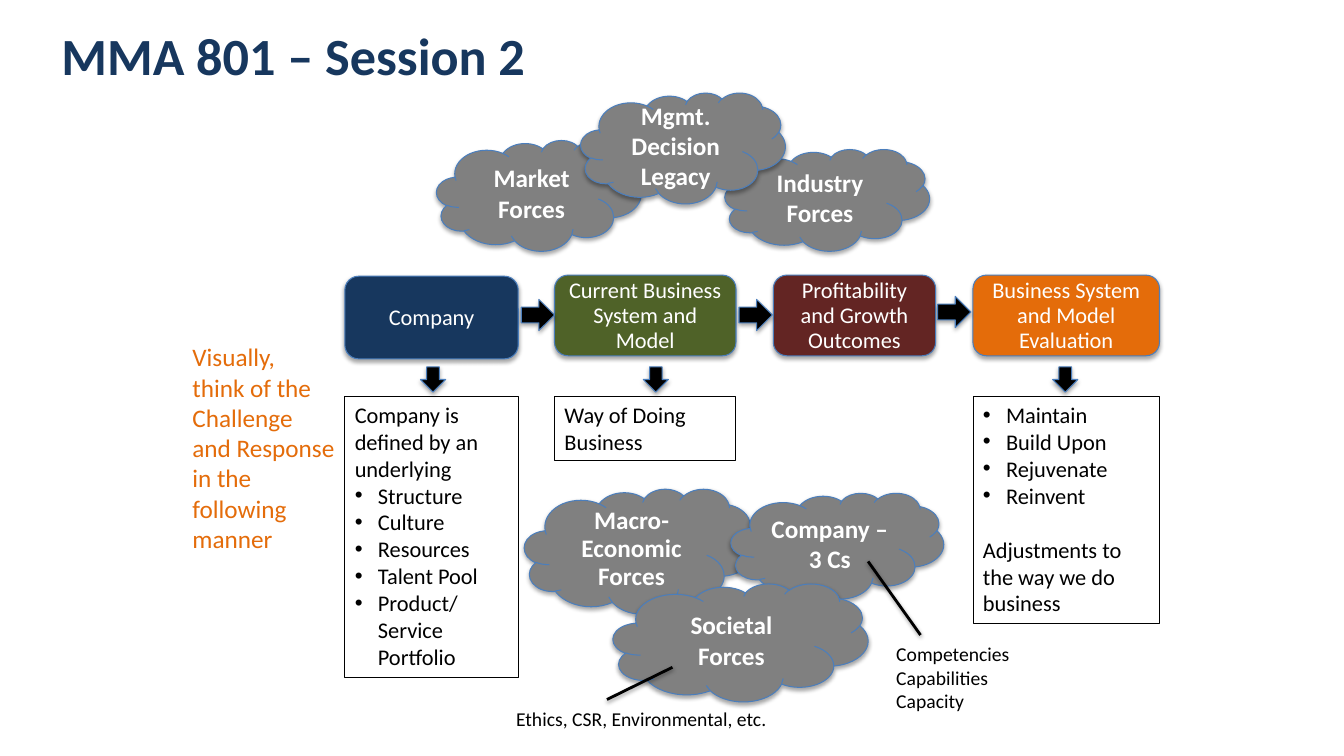
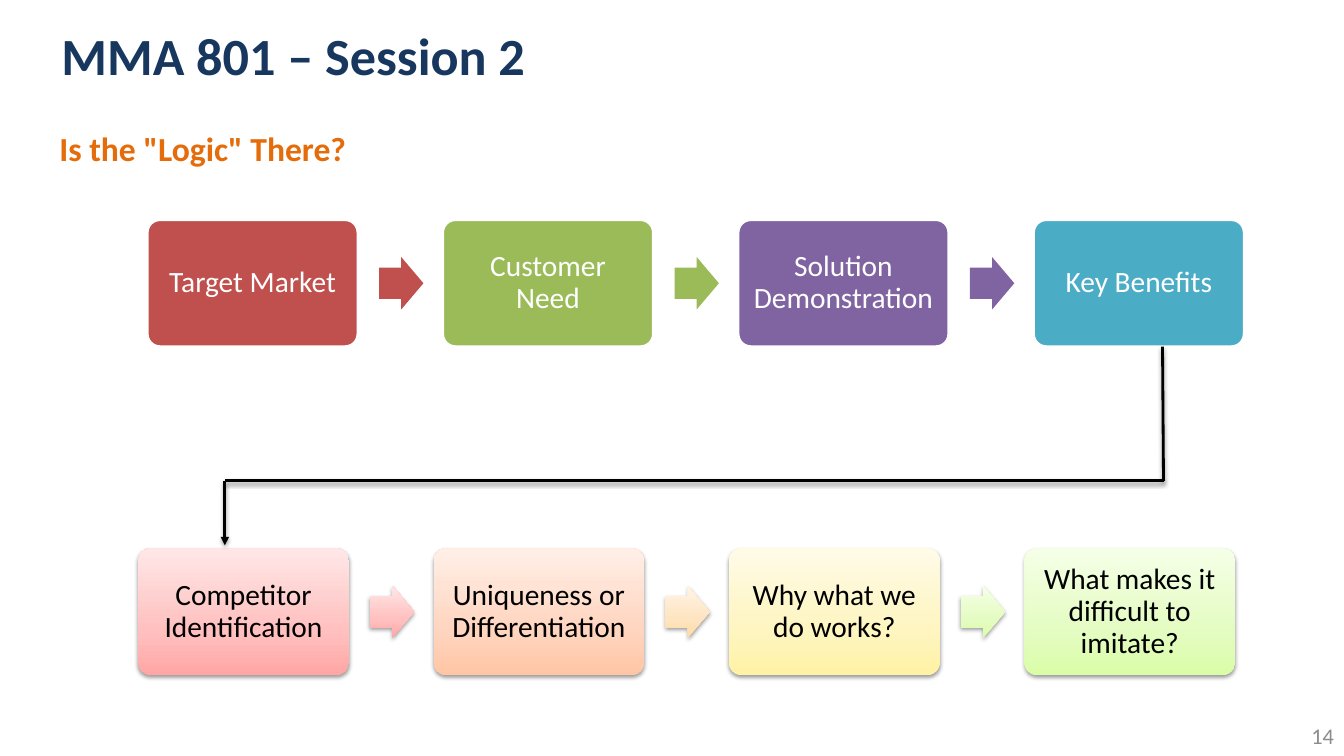
from lxml.etree import SubElement
from pptx import Presentation
from pptx.dml.color import RGBColor
from pptx.enum.shapes import MSO_CONNECTOR, MSO_SHAPE
from pptx.enum.text import MSO_ANCHOR, MSO_AUTO_SIZE, PP_ALIGN
from pptx.oxml.ns import qn
from pptx.util import Inches, Pt

FONT = "Calibri"
BLACK = RGBColor(0x00, 0x00, 0x00)
WHITE = RGBColor(0xFF, 0xFF, 0xFF)
GRAY = RGBColor(0x80, 0x80, 0x80)
NUMBER_GRAY = RGBColor(0x8C, 0x8C, 0x8C)
NAVY = RGBColor(0x17, 0x37, 0x5E)
OUTLINE = RGBColor(0x4B, 0x7E, 0xBC)
ORANGE = RGBColor(0xE4, 0x6C, 0x0A)
OLIVE = RGBColor(0x4F, 0x62, 0x28)
MAROON = RGBColor(0x63, 0x25, 0x23)
RED = RGBColor(0xC0, 0x50, 0x4D)
GREEN = RGBColor(0x9B, 0xBB, 0x59)
PURPLE = RGBColor(0x80, 0x64, 0xA2)
AQUA = RGBColor(0x4B, 0xAC, 0xC6)

# Gradients run from the bottom edge to the top edge
PINK_FADE = [RGBColor(0xFF, 0xA6, 0xA5), RGBColor(0xFF, 0xC0, 0xBF), RGBColor(0xFF, 0xE7, 0xE7)]
PEACH_FADE = [RGBColor(0xFF, 0xC5, 0xA5), RGBColor(0xFF, 0xD5, 0xBF), RGBColor(0xFF, 0xEF, 0xE7)]
AMBER_FADE = [RGBColor(0xFF, 0xDA, 0xA5), RGBColor(0xFE, 0xE4, 0xC0), RGBColor(0xFF, 0xF4, 0xE7)]
YELLOW_FADE = [RGBColor(0xFF, 0xF2, 0xA5), RGBColor(0xFE, 0xF5, 0xC0), RGBColor(0xFF, 0xFB, 0xE7)]
LIME_FADE = [RGBColor(0xDA, 0xFD, 0xA7), RGBColor(0xE4, 0xFC, 0xC2), RGBColor(0xF5, 0xFF, 0xE7)]
FADE_STOPS = (0, 35, 100)

# Shadow as (opacity in percent, distance in points)
DEEP_SHADOW = (35, 1.8)
SOFT_SHADOW = (38, 1.6)


def add_shadow(shape, shadow):
    opacity, distance = shadow
    sp_pr = shape.element.spPr
    effects = sp_pr.find(qn("a:effectLst"))
    if effects is None:
        effects = SubElement(sp_pr, qn("a:effectLst"))
    outer = SubElement(effects, qn("a:outerShdw"), blurRad=str(Pt(3.1)),
                       dist=str(Pt(distance)), dir="5400000", rotWithShape="0")
    color = SubElement(outer, qn("a:srgbClr"), val=str(BLACK))
    SubElement(color, qn("a:alpha"), val=str(opacity * 1000))


def paint(shape, fill):
    """Fill with one colour, or with a list of three as an upward gradient."""
    if isinstance(fill, RGBColor):
        shape.fill.solid()
        shape.fill.fore_color.rgb = fill
        return
    shape.fill.gradient()
    shape.fill.gradient_angle = 90
    stops = shape.element.spPr.find(qn("a:gradFill")).find(qn("a:gsLst"))
    for stop in list(stops):
        stops.remove(stop)
    for position, color in zip(FADE_STOPS, fill):
        stop = SubElement(stops, qn("a:gs"), pos=str(position * 1000))
        SubElement(stop, qn("a:srgbClr"), val=str(color))


def add_shape(s, kind, box, fill, line=None, width=0.75, shadow=None):
    sp = s.shapes.add_shape(kind, *map(Inches, box))
    sp.shadow.inherit = False
    paint(sp, fill)
    if line is None:
        sp.line.fill.background()
    else:
        sp.line.color.rgb = line
        sp.line.width = Pt(width)
    if shadow:
        add_shadow(sp, shadow)
    return sp


def write(tf, lines, size, color, bold=False, align=PP_ALIGN.LEFT, spacing=None):
    tf.word_wrap = True
    tf.text = "\n".join(lines)
    for p in tf.paragraphs:
        p.alignment = align
        p.line_spacing = spacing
        for r in p.runs:
            r.font.name = FONT
            r.font.size = Pt(size)
            r.font.bold = bold
            r.font.color.rgb = color


def add_text(s, box, lines, size, color, **style):
    tb = s.shapes.add_textbox(*map(Inches, box))
    write(tb.text_frame, lines, size, color, **style)
    return tb


def add_bullet(p):
    p_pr = p._p.get_or_add_pPr()
    p_pr.set("marL", str(Inches(0.23)))
    p_pr.set("indent", str(-Inches(0.23)))
    SubElement(p_pr, qn("a:buFont"), typeface="Arial")
    SubElement(p_pr, qn("a:buChar"), char="•")


def add_line(s, start, end, arrow=False):
    line = s.shapes.add_connector(MSO_CONNECTOR.STRAIGHT, *map(Inches, start + end))
    line.line.color.rgb = BLACK
    line.line.width = Pt(2)
    add_shadow(line, SOFT_SHADOW)
    if arrow:
        SubElement(line.element.spPr.find(qn("a:ln")), qn("a:tailEnd"), type="triangle")


def add_titled_slide(prs):
    s = prs.slides.add_slide(prs.slide_layouts[5])
    title = s.shapes.title
    title.left, title.top, title.width, title.height = map(Inches, (0.51, 0.07, 10.94, 0.94))
    tf = title.text_frame
    write(tf, ["MMA 801 – Session 2"], 37.3, NAVY, bold=True)
    tf.auto_size = MSO_AUTO_SIZE.NONE
    tf.vertical_anchor = MSO_ANCHOR.MIDDLE
    return s


def add_cloud(s, box, label, spacing=None):
    cloud = add_shape(s, MSO_SHAPE.CLOUD, box, GRAY, OUTLINE, shadow=DEEP_SHADOW)
    write(cloud.text_frame, [label], 18, WHITE, bold=True,
          align=PP_ALIGN.CENTER, spacing=spacing)


def add_stage(s, box, label, fill):
    stage = add_shape(s, MSO_SHAPE.ROUNDED_RECTANGLE, box, fill, OUTLINE, shadow=DEEP_SHADOW)
    write(stage.text_frame, [label], 16, WHITE, align=PP_ALIGN.CENTER, spacing=Pt(18))


def add_detail(s, box, lines, bullets=()):
    """Outlined note under a stage; bullets holds the indexes of bulleted lines."""
    note = add_text(s, box, lines, 16, BLACK)
    note.line.color.rgb = BLACK
    note.line.width = Pt(0.5)
    paragraphs = note.text_frame.paragraphs
    for i in bullets:
        add_bullet(paragraphs[i])
    return paragraphs


def add_stages(s):
    for box, label, fill in (
        ((3.42, 2.74, 1.72, 0.82), "Company", NAVY),
        ((5.5, 2.73, 1.8, 0.8), "Current Business System and Model", OLIVE),
        ((7.67, 2.73, 1.61, 0.8), "Profitability and Growth Outcomes", MAROON),
        ((9.65, 2.73, 1.85, 0.8), "Business System and Model Evaluation", ORANGE),
    ):
        add_stage(s, box, label, fill)
    for x, y in ((5.17, 2.97), (7.33, 2.97), (9.3, 2.94)):
        add_shape(s, MSO_SHAPE.RIGHT_ARROW, (x, y, 0.33, 0.31), BLACK, OUTLINE,
                  shadow=DEEP_SHADOW)
    for x in (4.17, 6.38, 10.44):
        add_shape(s, MSO_SHAPE.DOWN_ARROW, (x, 3.64, 0.25, 0.25), BLACK, OUTLINE,
                  shadow=DEEP_SHADOW)


def add_details(s):
    add_detail(s, (3.42, 3.93, 1.72, 2.79),
               ["Company is defined by an underlying", "Structure", "Culture", "Resources",
                "Talent Pool", "Product/ Service Portfolio"], range(1, 6))
    add_detail(s, (5.5, 3.93, 1.79, 0.64), ["Way of Doing Business"])
    outcome = add_detail(s, (9.65, 3.93, 1.85, 2.26),
                         ["Maintain", "Build Upon", "Rejuvenate", "Reinvent",
                          "Adjustments to the way we do business"], range(4))
    outcome[-1].space_before = Pt(19.5)


def add_forces(s):
    add_cloud(s, (4.33, 1.39, 2.03, 1.1), "Market Forces")
    add_cloud(s, (7.19, 1.48, 2.03, 1.01), "Industry Forces")
    add_cloud(s, (5.2, 4.85, 2.29, 1.24), "Macro-Economic Forces", Pt(20))
    add_cloud(s, (7.25, 4.89, 2.11, 1.05), "Company – 3 Cs")
    add_cloud(s, (5.76, 0.92, 2.03, 1.1), "Mgmt. Decision Legacy")
    add_cloud(s, (6.08, 5.79, 2.53, 1.17), "Societal Forces")
    add_line(s, (8.61, 5.57), (9.13, 6.3))
    add_text(s, (8.79, 6.32, 1.41, 0.81), ["Competencies", "Capabilities", "Capacity"], 14, BLACK)
    add_line(s, (6.02, 6.94), (6.67, 6.62))
    add_text(s, (5.02, 6.96, 4.43, 0.34), ["Ethics, CSR, Environmental, etc."], 14, BLACK)


def build_forces_slide(prs):
    s = add_titled_slide(prs)
    add_stages(s)
    add_details(s)
    add_forces(s)
    add_text(s, (1.81, 3.34, 1.61, 2.22),
             ["Visually, \vthink of the Challenge and Response in the following manner"],
             18, ORANGE)


def add_flow_row(s, left, top, steps, text_color, **card_style):
    """Row of cards; each step is (label, card fill, fill of the arrow after it)."""
    for i, (label, fill, arrow_fill) in enumerate(steps):
        x = left + i * 2.93
        card = add_shape(s, MSO_SHAPE.ROUNDED_RECTANGLE, (x, top, 2.09, 1.26), fill, **card_style)
        card.adjustments[0] = 0.1
        write(card.text_frame, [label], 21, text_color, align=PP_ALIGN.CENTER, spacing=0.9)
        if arrow_fill:
            arrow = add_shape(s, MSO_SHAPE.RIGHT_ARROW, (x + 2.3, top + 0.37, 0.44, 0.52),
                              arrow_fill, shadow=card_style.get("shadow"))
            arrow.adjustments[0] = 0.6
            arrow.adjustments[1] = 0.5


def build_logic_slide(prs):
    s = add_titled_slide(prs)
    number = add_text(s, (10.33, 7.1, 3, 0.4), ["14"], 16, NUMBER_GRAY, align=PP_ALIGN.RIGHT)
    number.text_frame.vertical_anchor = MSO_ANCHOR.MIDDLE
    add_text(s, (0.49, 1.22, 4.88, 0.5), ['Is the "Logic" There?'], 24, ORANGE, bold=True)
    add_flow_row(s, 1.46, 2.18, (
        ("Target Market", RED, RED),
        ("Customer Need", GREEN, GREEN),
        ("Solution Demonstration", PURPLE, PURPLE),
        ("Key Benefits", AQUA, None),
    ), WHITE, line=WHITE, width=2)
    add_flow_row(s, 1.37, 5.44, (
        ("Competitor Identification", PINK_FADE, PINK_FADE),
        ("Uniqueness or Differentiation", PEACH_FADE, AMBER_FADE),
        ("Why what we do works?", YELLOW_FADE, LIME_FADE),
        ("What makes it difficult to imitate?", LIME_FADE, None),
    ), BLACK, shadow=SOFT_SHADOW)
    add_line(s, (11.53, 3.44), (11.54, 4.77))
    add_line(s, (11.54, 4.77), (2.23, 4.77))
    add_line(s, (2.23, 4.77), (2.23, 5.41), arrow=True)


def main():
    prs = Presentation()
    prs.slide_width, prs.slide_height = Inches(13.33), Inches(7.5)
    build_forces_slide(prs)
    build_logic_slide(prs)
    prs.save("out.pptx")


if __name__ == "__main__":
    main()
